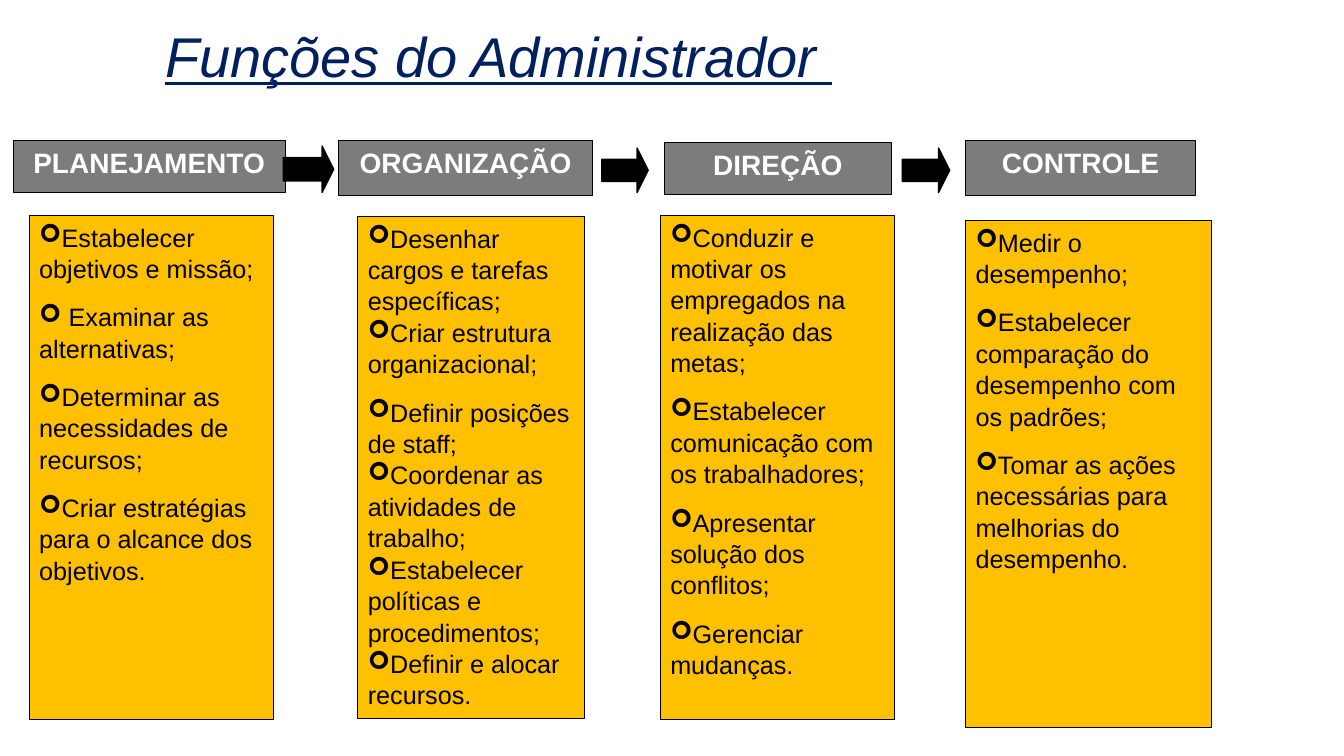
from lxml import etree
from pptx import Presentation
from pptx.dml.color import RGBColor
from pptx.enum.shapes import MSO_SHAPE
from pptx.enum.text import MSO_ANCHOR, PP_ALIGN
from pptx.oxml.ns import qn
from pptx.util import Inches, Pt

RECT, ARROW = MSO_SHAPE.RECTANGLE, MSO_SHAPE.RIGHT_ARROW
TOP = MSO_ANCHOR.TOP
LEFT, CENTER = PP_ALIGN.LEFT, PP_ALIGN.CENTER
WIDTH, HEIGHT = Inches(13.33), Inches(7.5)
BLACK, WHITE, GRAY, GOLD, NAVY = "000000", "FFFFFF", "7C7C7C", "FFC000", "002060"

# Boxes are left, top, width, height in percent of the slide.
TITLE = (1.05, 2.13, 72.08, 10.53)
ARROWS = [
    (21.08, 19.33, 3.75, 6.13),
    (44.78, 19.6, 3.45, 5.87),
    (67.13, 19.6, 3.53, 5.87),
]
# Each stage: name, head box, card box, list of (space before, text).
STAGES = [
    ("PLANEJAMENTO", (0.98, 18.53, 20.25, 6.93), (2.18, 28.53, 18.15, 66.67), [
        (12, "Estabelecer objetivos e missão;"),
        (12, " Examinar as alternativas;"),
        (12, "Determinar as necessidades de recursos;"),
        (12, "Criar estratégias para o alcance dos objetivos."),
    ]),
    ("ORGANIZAÇÃO", (25.2, 18.53, 18.9, 7.33), (26.63, 28.67, 16.88, 66.4), [
        (0, "Desenhar cargos e tarefas específicas;"),
        (0, "Criar estrutura organizacional;"),
        (12, "Definir posições de staff;"),
        (0, "Coordenar as atividades de trabalho;"),
        (0, "Estabelecer políticas e procedimentos;"),
        (0, "Definir e alocar recursos."),
    ]),
    ("DIREÇÃO", (49.43, 18.8, 16.88, 6.93), (49.13, 28.53, 17.4, 66.67), [
        (12, "Conduzir e motivar os empregados na realização das metas;"),
        (12, "Estabelecer comunicação com os trabalhadores;"),
        (12, "Apresentar solução dos conflitos;"),
        (12, "Gerenciar mudanças."),
    ]),
    ("CONTROLE", (71.85, 18.53, 17.1, 7.33), (71.85, 29.2, 18.3, 67.07), [
        (12, "Medir o desempenho;"),
        (12, "Estabelecer comparação do desempenho com os padrões;"),
        (12, "Tomar as ações necessárias para melhorias do desempenho."),
    ]),
]


def color(text):
    return RGBColor.from_string(text)


def place(box):
    """Turn percent of the slide into lengths."""
    sides = (WIDTH, HEIGHT, WIDTH, HEIGHT)
    return [round(side * part / 100) for side, part in zip(sides, box)]


def add_block(slide, kind, box, fill, line=0.75):
    shape = slide.shapes.add_shape(kind, *place(box))
    shape.shadow.inherit = False
    shape.fill.solid()
    shape.fill.fore_color.rgb = color(fill)
    shape.line.color.rgb = color(BLACK)
    shape.line.width = Pt(line)
    return shape


def write(shape, lines, size, ink, align):
    """Set one paragraph per line and return the frame."""
    frame = shape.text_frame
    frame.text = "\n".join(lines)
    frame.word_wrap = True
    frame.vertical_anchor = TOP
    for para in frame.paragraphs:
        para.alignment = align
        for run in para.runs:
            run.font.name = "Arial"
            run.font.size = Pt(size)
            run.font.color.rgb = color(ink)
    return frame


def add_bullet(para):
    props = para._p.get_or_add_pPr()
    props.set("marL", "0")
    props.set("indent", "0")
    etree.SubElement(props, qn("a:buFont")).set("typeface", "Wingdings")
    etree.SubElement(props, qn("a:buChar")).set("char", "➢")


def add_title(slide, text):
    shape = slide.shapes.add_textbox(*place(TITLE))
    font = write(shape, [text], 40, NAVY, CENTER).paragraphs[0].runs[0].font
    font.italic = True
    font.underline = True


def add_head(slide, box, name):
    shape = add_block(slide, RECT, box, GRAY)
    write(shape, [name], 20, WHITE, CENTER).paragraphs[0].runs[0].font.bold = True


def add_card(slide, box, items):
    shape = add_block(slide, RECT, box, GOLD)
    frame = write(shape, [text for _, text in items], 18, BLACK, LEFT)
    for para, (gap, _) in zip(frame.paragraphs, items):
        para.line_spacing = 1.04
        para.space_before = Pt(gap)
        add_bullet(para)


def add_arrow(slide, box):
    shape = add_block(slide, ARROW, box, BLACK, 1)
    shape.adjustments[0] = 0.5
    shape.adjustments[1] = 0.25


def main():
    deck = Presentation()
    deck.slide_width, deck.slide_height = WIDTH, HEIGHT
    slide = deck.slides.add_slide(deck.slide_layouts[6])
    for name, head, card, items in STAGES:
        add_card(slide, card, items)
        add_head(slide, head, name)
    add_title(slide, "Funções do Administrador ")
    for box in ARROWS:
        add_arrow(slide, box)
    deck.save("out.pptx")


if __name__ == "__main__":
    main()
